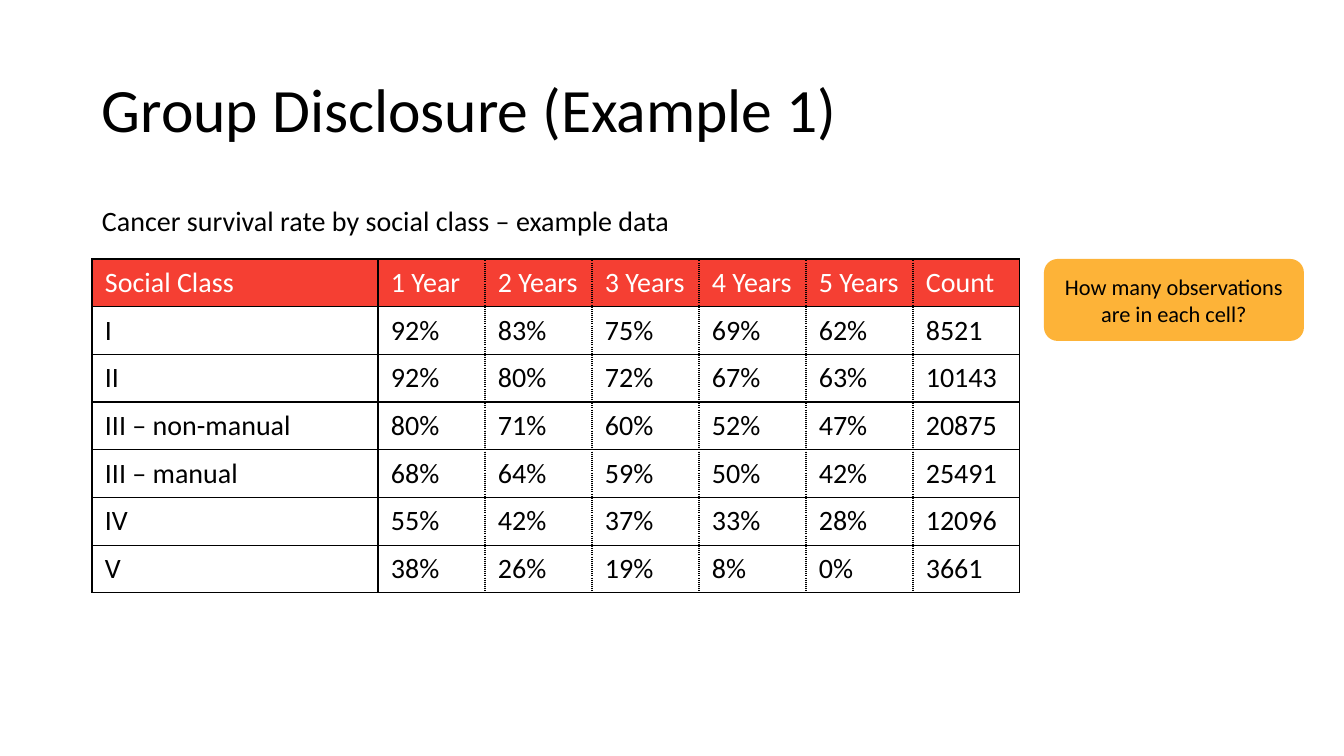
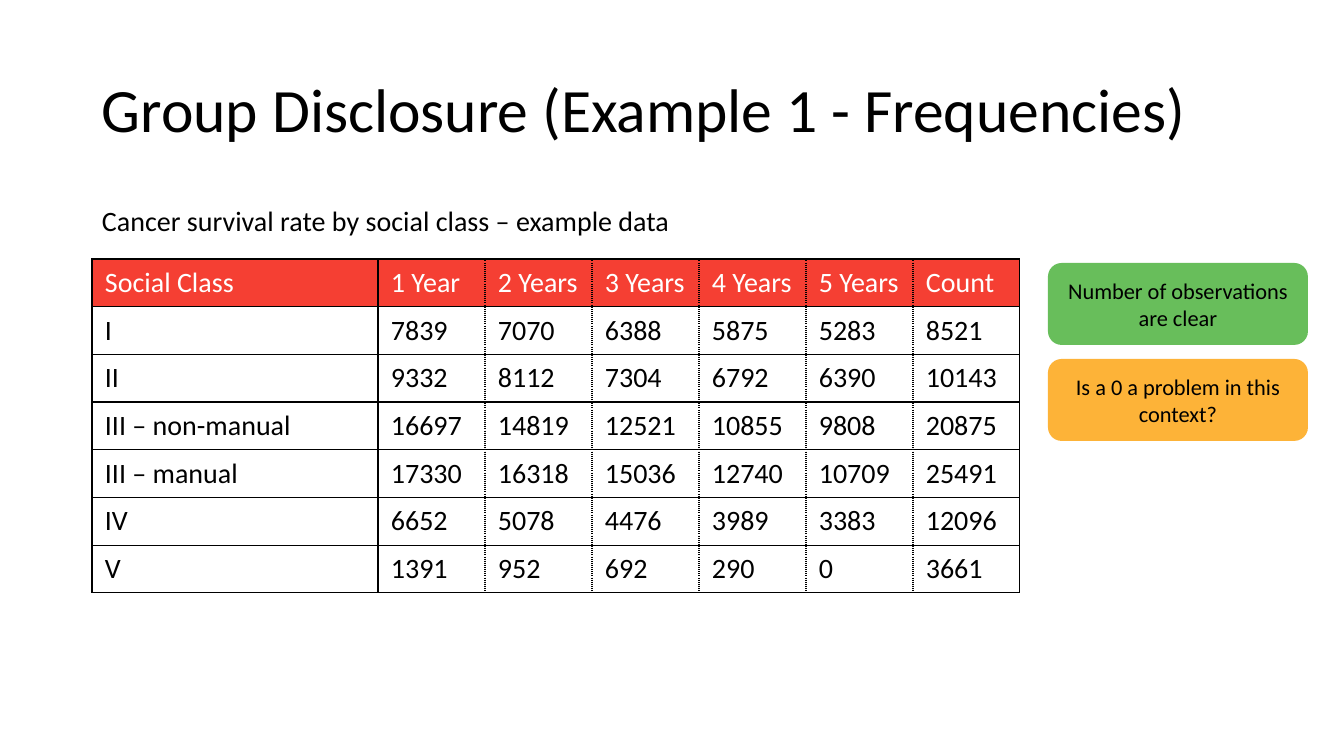
from lxml.etree import SubElement
from pptx import Presentation
from pptx.dml.color import RGBColor
from pptx.enum.shapes import MSO_SHAPE as Shape
from pptx.enum.text import MSO_ANCHOR as Anchor, PP_ALIGN as Align
from pptx.oxml.ns import qn
from pptx.util import Emu, Pt

SCALE = 914400 / 100.8
BLACK = RGBColor(0x00, 0x00, 0x00)
WHITE = RGBColor(0xFF, 0xFF, 0xFF)
RED = RGBColor(0xF5, 0x3F, 0x33)
AMBER = RGBColor(0xFD, 0xB3, 0x38)
GREEN = RGBColor(0x68, 0xBE, 0x5B)
FONT = "Calibri"

HEAD = ["Social Class", "1 Year", "2 Years", "3 Years", "4 Years", "5 Years", "Count"]
GROUPS = ["I", "II", "III – non-manual", "III – manual", "IV", "V"]
COUNTS = [8521, 10143, 20875, 25491, 12096, 3661]
RATES = [
    [92, 83, 75, 69, 62],
    [92, 80, 72, 67, 63],
    [80, 71, 60, 52, 47],
    [68, 64, 59, 50, 42],
    [55, 42, 37, 33, 28],
    [38, 26, 19, 8, 0],
]
CASES = [
    [7839, 7070, 6388, 5875, 5283],
    [9332, 8112, 7304, 6792, 6390],
    [16697, 14819, 12521, 10855, 9808],
    [17330, 16318, 15036, 12740, 10709],
    [6652, 5078, 4476, 3989, 3383],
    [1391, 952, 692, 290, 0],
]


def px(n):
    return Emu(round(n * SCALE))


def edge(cell, side, dash):
    """Draw a thin black border on one side (L, R, T or B) of a cell."""
    line = SubElement(cell._tc.get_or_add_tcPr(), qn(f"a:ln{side}"), w=str(Pt(1)))
    fill = SubElement(line, qn("a:solidFill"))
    SubElement(fill, qn("a:srgbClr"), val=str(BLACK))
    SubElement(line, qn("a:prstDash"), val=dash)


class Deck:
    def __init__(self):
        self.prs = Presentation()
        self.prs.slide_width, self.prs.slide_height = px(1344), px(756)
        self.slide = None

    def page(self, title):
        self.slide = self.prs.slides.add_slide(self.prs.slide_layouts[6])
        self.text(title, 40, 146, 44, Anchor.MIDDLE)
        lead = self.text("Cancer survival rate by social class – example data", 202, 480, 20)
        lead.space_before = Pt(10)

    def style(self, para, text, size, color=BLACK):
        para.text = text
        font = para.font
        font.name, font.size, font.bold = FONT, Pt(size), False
        font.color.rgb = color

    def text(self, text, top, height, size, anchor=Anchor.TOP):
        box = self.slide.shapes.add_textbox(px(92), px(top), px(1159), px(height))
        frame = box.text_frame
        frame.word_wrap, frame.vertical_anchor = True, anchor
        para = frame.paragraphs[0]
        self.style(para, text, size)
        para.line_spacing = 0.9
        return para

    def note(self, text, left, top, color):
        box = self.slide.shapes.add_shape(
            Shape.ROUNDED_RECTANGLE, px(left), px(top), px(260), px(82))
        box.shadow.inherit = False
        box.fill.solid()
        box.fill.fore_color.rgb = color
        box.line.fill.background()
        frame = box.text_frame
        frame.word_wrap, frame.vertical_anchor = True, Anchor.MIDDLE
        para = frame.paragraphs[0]
        self.style(para, text, 16)
        para.alignment = Align.CENTER

    def table(self, values, unit=""):
        """Add the table of values by social class, with the group counts last."""
        rows = [HEAD]
        for group, vals, count in zip(GROUPS, values, COUNTS):
            rows.append([group, *(f"{val}{unit}" for val in vals), str(count)])
        grid = self.slide.shapes.add_table(
            len(rows), len(HEAD), px(92), px(259), px(928), px(334)).table
        grid.first_row = grid.horz_banding = False
        for i, col in enumerate(grid.columns):
            col.width = px(107 if i else 286)
        for r, row in enumerate(rows):
            for c, text in enumerate(row):
                self.cell(grid.cell(r, c), text, r == 0, c)

    def cell(self, cell, text, head, col):
        left = "solid" if col < 2 else "sysDot"
        right = "solid" if col in (0, len(HEAD) - 1) else "sysDot"
        for side, dash in zip("LRTB", (left, right, "solid", "solid")):
            edge(cell, side, dash)
        if head:
            cell.fill.solid()
            cell.fill.fore_color.rgb = RED
        else:
            cell.fill.background()
        cell.margin_left = cell.margin_right = px(13)
        cell.margin_top = cell.margin_bottom = px(6)
        cell.vertical_anchor = Anchor.MIDDLE
        self.style(cell.text_frame.paragraphs[0], text, 20, WHITE if head else BLACK)


def main():
    deck = Deck()
    deck.page("Group Disclosure (Example 1)")
    deck.table(RATES, "%")
    deck.note("How many observations are in each cell?", 1044, 259, AMBER)

    deck.page("Group Disclosure (Example 1 - Frequencies)")
    deck.table(CASES)
    deck.note("Number of observations are clear", 1048, 263, GREEN)
    deck.note("Is a 0 a problem in this context?", 1048, 359, AMBER)
    deck.prs.save("out.pptx")


if __name__ == "__main__":
    main()
